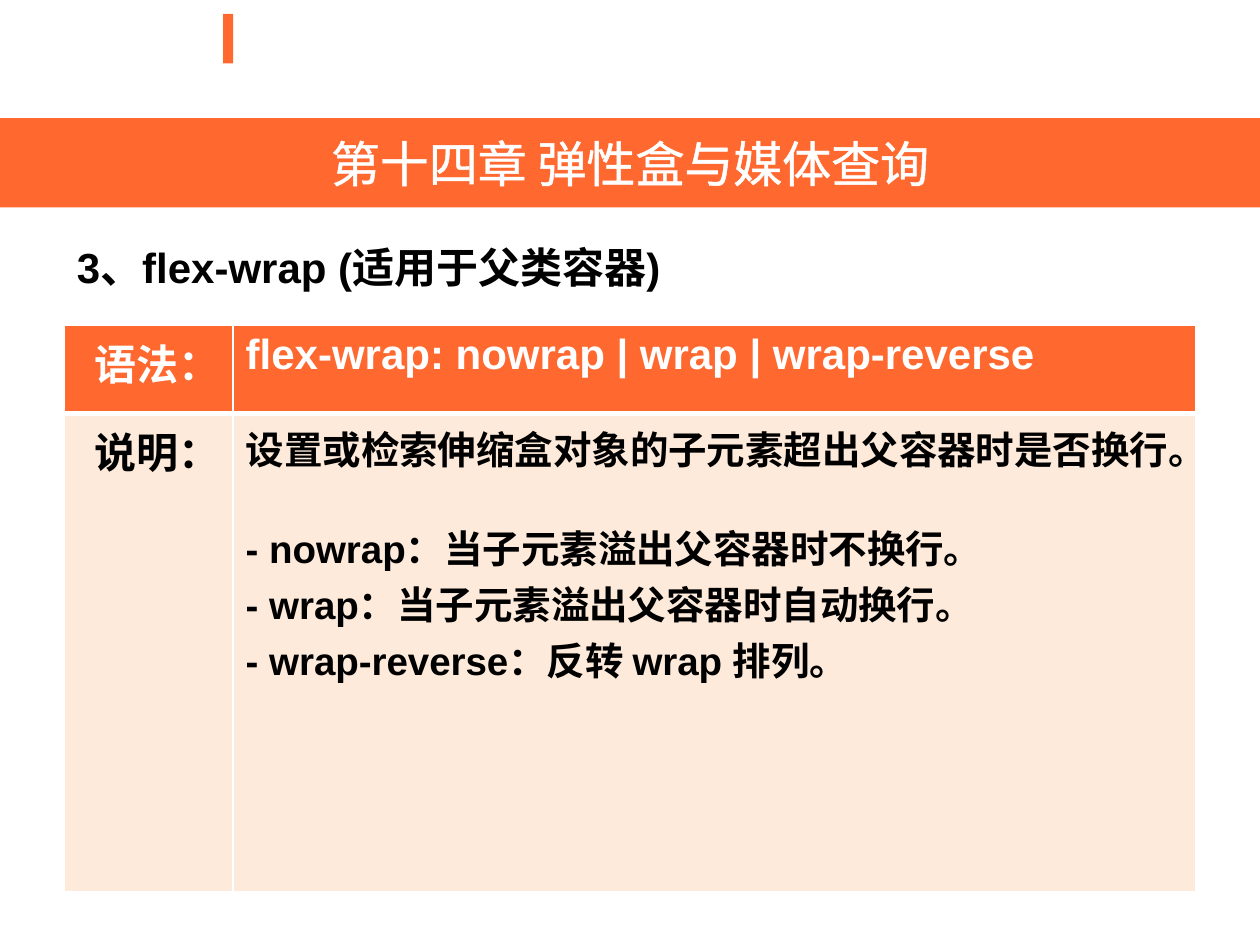
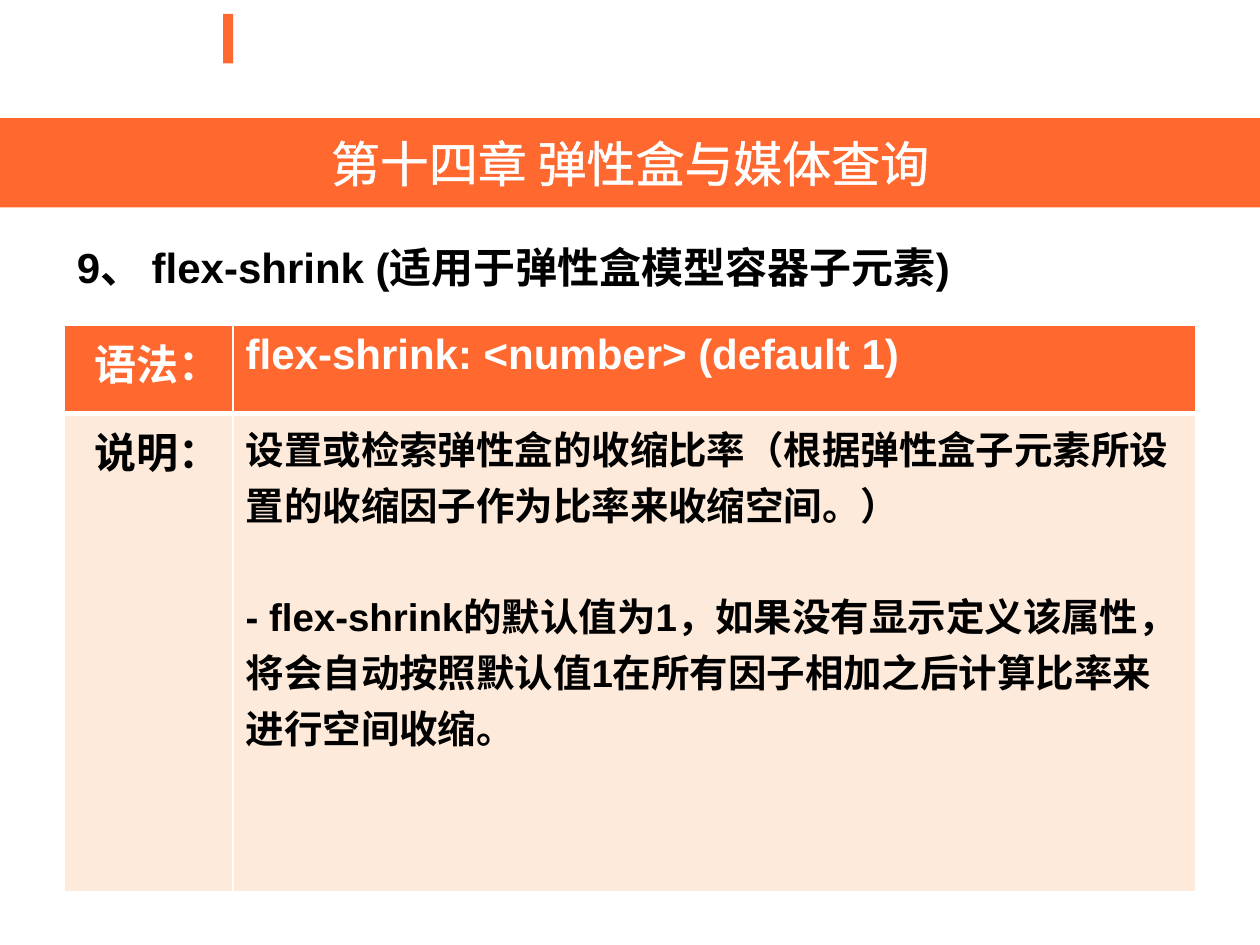
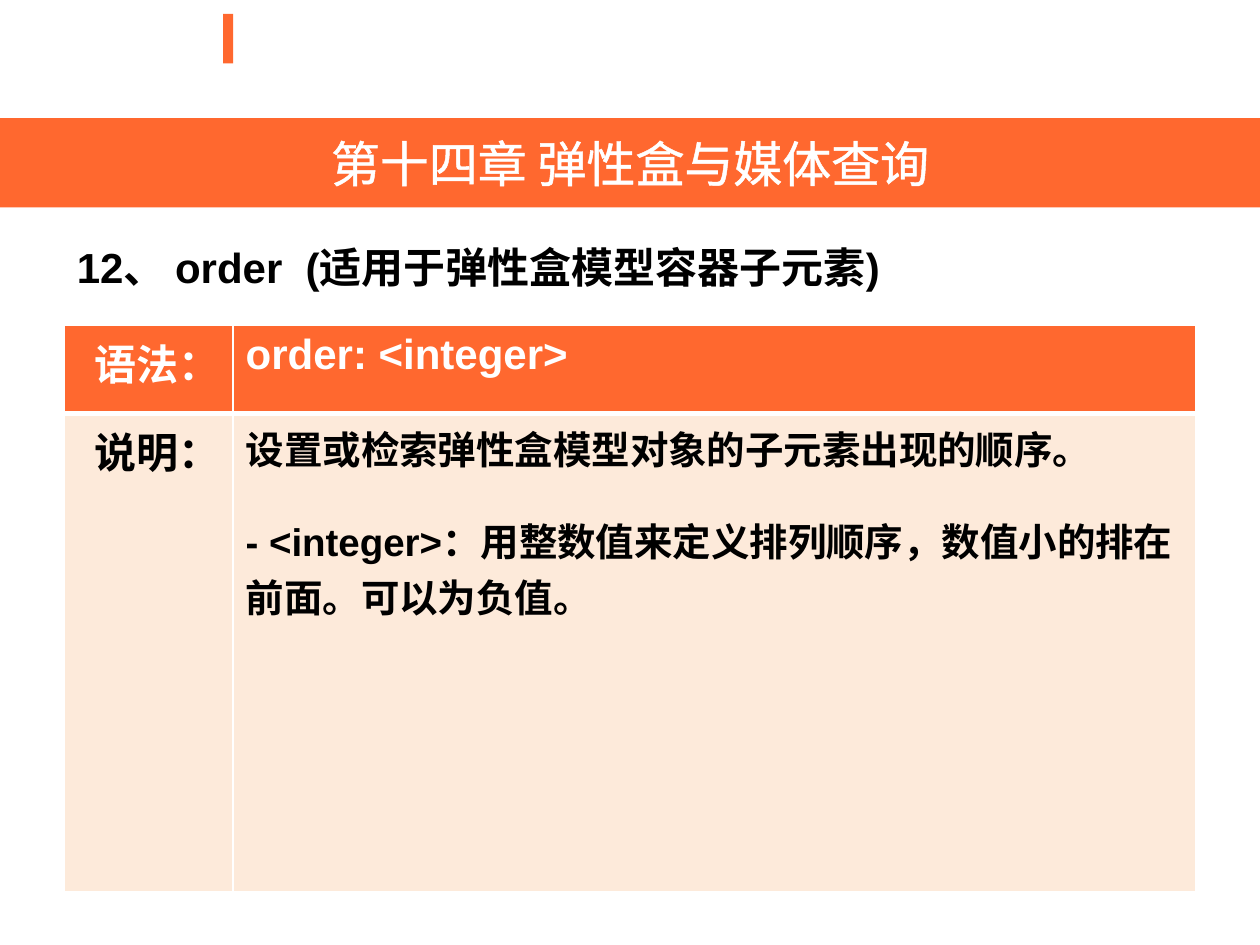
from lxml import etree
from pptx import Presentation
from pptx.dml.color import RGBColor
from pptx.enum.shapes import MSO_SHAPE
from pptx.enum.text import MSO_ANCHOR, PP_ALIGN
from pptx.oxml.ns import qn
from pptx.util import Cm, Pt

ORANGE, PEACH, WHITE, BLACK = "FF682F", "FDEADA", "FFFFFF", "000000"
CHAPTER = "第十四章 弹性盒与媒体查询"

# Each lesson: heading, syntax, explanation, space before the details (points), details
LESSONS = [
    ("3、flex-wrap (适用于父类容器)",
     "flex-wrap: nowrap | wrap | wrap-reverse",
     "设置或检索伸缩盒对象的子元素超出父容器时是否换行。", 25,
     ["- nowrap：当子元素溢出父容器时不换行。",
      "- wrap：当子元素溢出父容器时自动换行。",
      "- wrap-reverse：反转 wrap 排列。"]),
    ("9、 flex-shrink (适用于弹性盒模型容器子元素)",
     "flex-shrink: <number> (default 1)",
     "设置或检索弹性盒的收缩比率（根据弹性盒子元素所设置的收缩因子作为比率来收缩空间。）", 32,
     ["- flex-shrink的默认值为1，如果没有显示定义该属性，"
      "将会自动按照默认值1在所有因子相加之后计算比率来进行空间收缩。"]),
    ("12、 order  (适用于弹性盒模型容器子元素)",
     "order: <integer>",
     "设置或检索弹性盒模型对象的子元素出现的顺序。", 21,
     ["- <integer>：用整数值来定义排列顺序，数值小的排在前面。可以为负值。"]),
]


def color(value):
    return RGBColor.from_string(value)


def add_line(parent, tag, value, width, index):
    """Insert a solid line definition among the properties of a cell or span."""
    line = etree.Element(qn(tag), w=str(Pt(width)))
    fill = etree.SubElement(line, qn("a:solidFill"))
    etree.SubElement(fill, qn("a:srgbClr"), val=value)
    parent.insert(index, line)


def write(frame, *texts, size=24, fill=BLACK, bold=True, align=PP_ALIGN.LEFT,
          gap=0, outline=None):
    """Write paragraphs; gap is the space before the second one."""
    frame.word_wrap = True
    for number, text in enumerate(texts):
        para = frame.paragraphs[0] if number == 0 else frame.add_paragraph()
        para.alignment = align
        if number == 1:
            para.space_before = Pt(gap)
        span = para.add_run()
        span.text = text
        span.font.name, span.font.size, span.font.bold = "Arial", Pt(size), bold
        span.font.color.rgb = color(fill)
        if outline:
            add_line(span.font._element, "a:ln", fill, outline, 0)


class Lecture:
    def __init__(self):
        self.deck = Presentation()
        self.deck.slide_width, self.deck.slide_height = Cm(25.4), Cm(19.05)
        self.page = None

    def bar(self, left, top, width, height):
        shape = self.page.shapes.add_shape(
            MSO_SHAPE.RECTANGLE, Cm(left), Cm(top), Cm(width), Cm(height))
        shape.shadow.inherit = False
        shape.fill.solid()
        shape.fill.fore_color.rgb = color(ORANGE)
        shape.line.fill.background()
        return shape

    def start_page(self):
        self.page = self.deck.slides.add_slide(self.deck.slide_layouts[6])
        self.bar(4.5, 0.28, 0.2, 1)
        band = self.bar(0, 2.38, 25.4, 1.8)
        band.text_frame.vertical_anchor = MSO_ANCHOR.MIDDLE
        write(band.text_frame, CHAPTER, size=28, fill=WHITE, bold=False,
              align=PP_ALIGN.CENTER, outline=1.45)

    def heading(self, text):
        box = self.page.shapes.add_textbox(Cm(1.3), Cm(4.75), Cm(22.86), Cm(12))
        write(box.text_frame, text)

    def cell(self, cell, fill, top, bottom):
        cell.fill.solid()
        cell.fill.fore_color.rgb = color(fill)
        properties = cell._tc.get_or_add_tcPr()
        for index, (side, width) in enumerate(zip("LRTB", (1, 1, top, bottom))):
            add_line(properties, f"a:ln{side}", WHITE, width, index)
        return cell.text_frame

    def syntax_table(self, syntax, explanation, gap, details):
        widths, heights = (3.4, 19.4), (1.78, 9.63)
        table = self.page.shapes.add_table(
            2, 2, Cm(1.3), Cm(6.56), Cm(sum(widths)), Cm(sum(heights))).table
        table.horz_banding = False
        for column, width in zip(table.columns, widths):
            column.width = Cm(width)
        for row, height in zip(table.rows, heights):
            row.height = Cm(height)

        # Header row, with a thick rule below, then the explanation row
        label, content = (self.cell(cell, ORANGE, 1, 3) for cell in table.rows[0].cells)
        write(label, "语法：", fill=WHITE, align=PP_ALIGN.RIGHT)
        write(content, syntax, fill=WHITE)
        label, content = (self.cell(cell, PEACH, 3, 1) for cell in table.rows[1].cells)
        write(label, "说明：", align=PP_ALIGN.RIGHT)
        write(content, explanation, *details, size=22, gap=gap)


def main():
    lecture = Lecture()
    for heading, *content in LESSONS:
        lecture.start_page()
        lecture.heading(heading)
        lecture.syntax_table(*content)
    lecture.deck.save("out.pptx")


if __name__ == "__main__":
    main()
